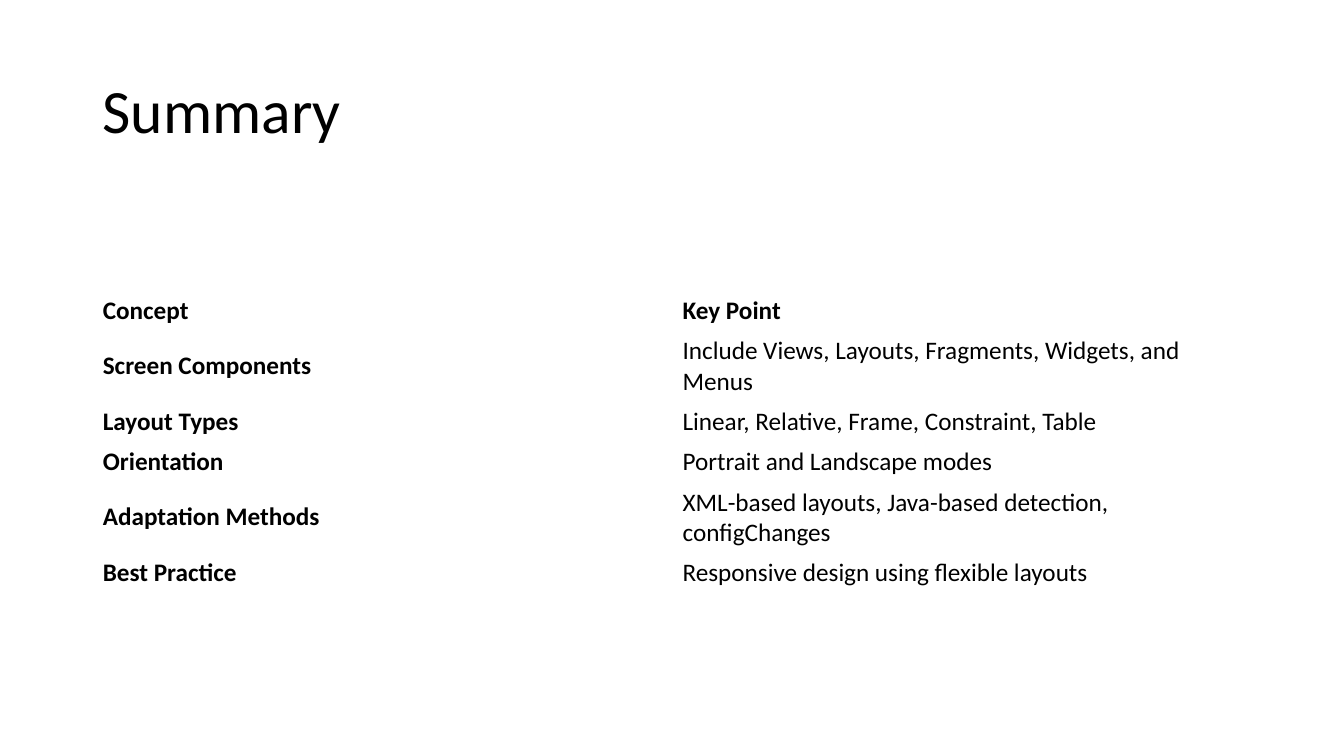
import pptx
import pptx.dml.color
import pptx.enum.text
import pptx.util

Inches = pptx.util.Inches
MIDDLE = pptx.enum.text.MSO_ANCHOR.MIDDLE

SUMMARY_ROWS = [
    ("Concept", "Key Point"),
    ("Screen Components", "Include Views, Layouts, Fragments, Widgets, and Menus"),
    ("Layout Types", "Linear, Relative, Frame, Constraint, Table"),
    ("Orientation", "Portrait and Landscape modes"),
    ("Adaptation Methods", "XML-based layouts, Java-based detection, configChanges"),
    ("Best Practice", "Responsive design using flexible layouts"),
]


def color(value):
    return pptx.dml.color.RGBColor.from_string(value)


def write_text(text_frame, text, size, bold=False):
    text_frame.text = text
    text_frame.word_wrap = True
    font = text_frame.paragraphs[0].runs[0].font
    font.name = "Calibri"
    font.size = pptx.util.Pt(size)
    font.bold = bold
    font.color.rgb = color("000000")


def add_title(slide, left, top, width, height):
    shape = slide.shapes.add_textbox(
        Inches(left), Inches(top), Inches(width), Inches(height))
    write_text(shape.text_frame, "Summary", 44)
    shape.text_frame.vertical_anchor = MIDDLE
    shape.text_frame.paragraphs[0].line_spacing = 0.9


def add_summary_table(slide, left, top, width, row_height):
    row_count, column_count = len(SUMMARY_ROWS), len(SUMMARY_ROWS[0])
    table = slide.shapes.add_table(
        row_count, column_count, Inches(left), Inches(top),
        Inches(width), Inches(row_height * row_count)).table
    table.first_row = False
    table.horz_banding = False
    for row_index, row in enumerate(SUMMARY_ROWS):
        for column_index, text in enumerate(row):
            cell = table.cell(row_index, column_index)
            cell.fill.background()
            cell.vertical_anchor = MIDDLE
            is_heading = row_index == 0 or column_index == 0
            write_text(cell.text_frame, text, 18, is_heading)


def main():
    presentation = pptx.Presentation()
    presentation.slide_width = Inches(13.33)
    presentation.slide_height = Inches(7.5)
    slide = presentation.slides.add_slide(presentation.slide_layouts[6])
    slide.background.fill.solid()
    slide.background.fill.fore_color.rgb = color("FFFFFF")
    add_title(slide, 0.92, 0.4, 11.5, 1.45)
    add_summary_table(slide, 0.92, 2.88, 11.5, 0.4)
    presentation.save("out.pptx")


if __name__ == "__main__":
    main()
